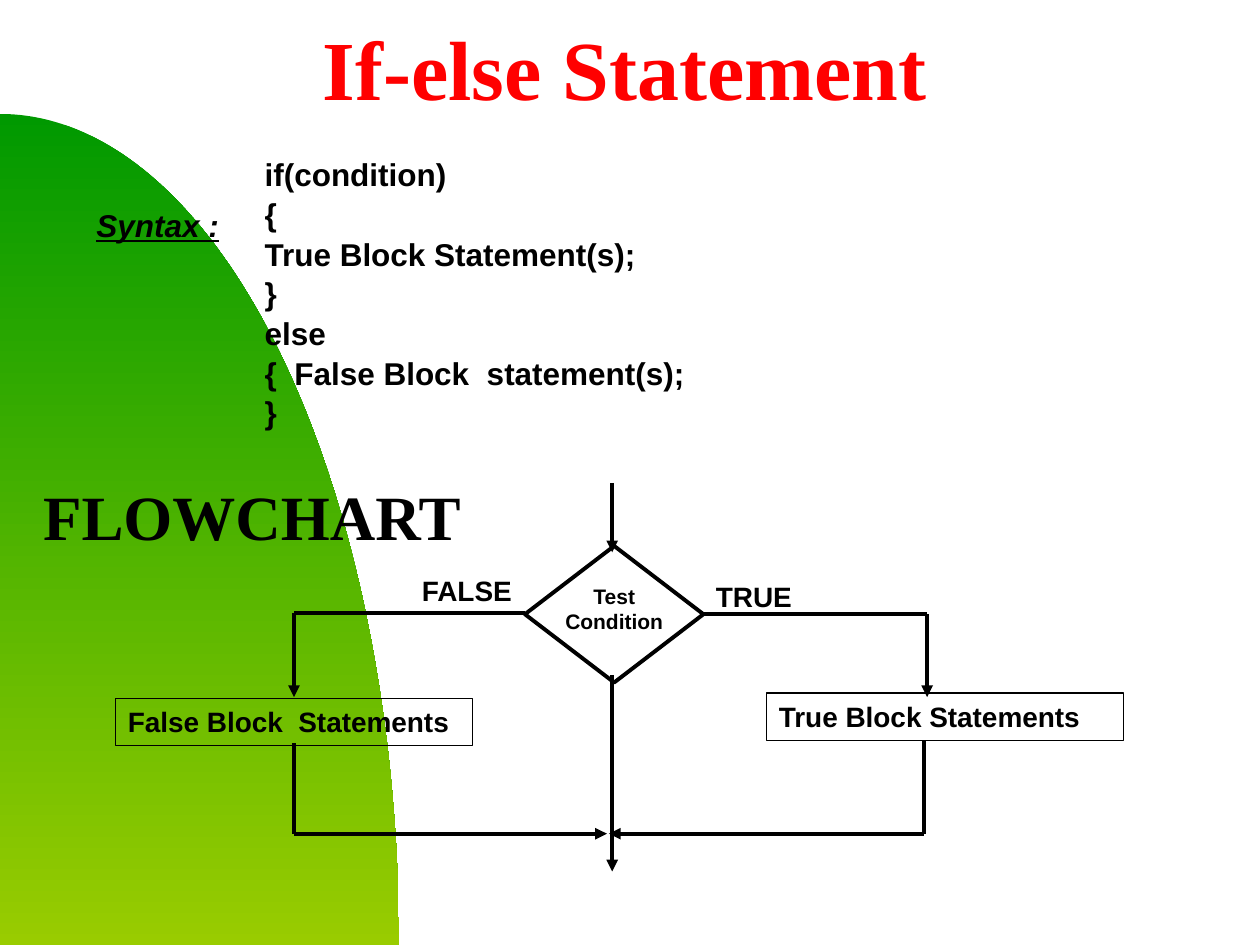
from dataclasses import dataclass
from itertools import pairwise
from math import cos, pi, sin

from pptx import Presentation
from pptx.dml.color import RGBColor
from pptx.enum.shapes import MSO_CONNECTOR as Line, MSO_SHAPE as Shape
from pptx.enum.text import MSO_ANCHOR as Anchor, MSO_AUTO_SIZE as AutoSize, PP_ALIGN as Align
from pptx.oxml.ns import qn
from pptx.util import Inches, Pt

COLS, ROWS = 120, 90
WIDTH, HEIGHT = Inches(10), Inches(7.5)


@dataclass(frozen=True)
class Theme:
    ink: str = "000000"
    title: str = "FF0000"
    top_green: str = "009900"
    low_green: str = "99CC00"
    serif: str = "Times New Roman"
    sans: str = "Arial"
    title_size: int = 48
    heading_size: int = 36
    code_size: int = 18
    label_size: int = 16
    small_size: int = 12
    thick: float = 2.25
    thin: float = 0.75


def write(sp, text, size, color, font, align=Align.LEFT, wrap=True, italic=False,
          underline=False, spacing=1.0):
    """Fill a shape with bold, top-anchored text, one paragraph per line."""
    tf = sp.text_frame
    tf.text = text
    tf.word_wrap = wrap
    tf.auto_size = AutoSize.NONE
    tf.vertical_anchor = Anchor.TOP
    for p in tf.paragraphs:
        pPr = p._p.get_or_add_pPr()
        pPr.set("marL", "0")
        pPr.set("indent", "0")
        p.alignment = align
        p.line_spacing = spacing
        p.space_before = Pt(0)
        pPr.get_or_add_buNone() if hasattr(pPr, "get_or_add_buNone") else \
            pPr.append(pPr.makeelement(qn("a:buNone"), {}))
        for r in p.runs:
            f = r.font
            f.name, f.size, f.bold = font, Pt(size), True
            f.italic, f.underline = italic, underline
            f.color.rgb = RGBColor.from_string(color)


class Deck:
    """Holds the theme and current slide; lengths are columns and rows."""

    def __init__(self, theme):
        self.theme = theme
        self.prs = Presentation()
        self.prs.slide_width, self.prs.slide_height = WIDTH, HEIGHT
        self.slide = self.prs.slides.add_slide(self.prs.slide_layouts[1])
        self.shapes = self.slide.shapes

    def at(self, x, y):
        return int(WIDTH * x / COLS), int(HEIGHT * y / ROWS)

    def place(self, sp, x, y, w, h):
        sp.left, sp.top = self.at(x, y)
        sp.width, sp.height = self.at(w, h)

    def quarter_ellipse(self, top, width, steps=90):
        """Draw the green backdrop behind everything else."""
        angles = [pi / 2 * i / steps for i in range(steps + 1)]
        curve = [self.at(width * sin(a), ROWS - (ROWS - top) * cos(a)) for a in angles]
        fb = self.shapes.build_freeform(*self.at(0, ROWS))
        fb.add_line_segments(curve, close=True)
        sp = fb.convert_to_shape()
        sp.shadow.inherit = False
        sp.line.fill.background()
        sp.fill.gradient()
        sp.fill.gradient_angle = 270
        colors = self.theme.top_green, self.theme.low_green
        for stop, color, position in zip(sp.fill.gradient_stops, colors, (0, 1)):
            stop.color.rgb = RGBColor.from_string(color)
            stop.position = position
        self.shapes._spTree.insert(2, sp._element)

    def title(self, text, *box):
        sp = self.shapes.title
        self.place(sp, *box)
        write(sp, text, self.theme.title_size, self.theme.title, self.theme.serif, Align.CENTER)

    def body(self, text, *box):
        sp = self.slide.placeholders[1]
        self.place(sp, *box)
        write(sp, text, self.theme.code_size, self.theme.ink, self.theme.sans, spacing=1.05)

    def text(self, text, *box, size=None, font=None, **style):
        sp = self.shapes.add_textbox(*self.at(*box[:2]), *self.at(*box[2:]))
        write(sp, text, size or self.theme.label_size, self.theme.ink,
              font or self.theme.sans, **style)

    def node(self, kind, *box, line, text=""):
        sp = self.shapes.add_shape(kind, *self.at(*box[:2]), *self.at(*box[2:]))
        sp.shadow.inherit = False
        sp.fill.background()
        sp.line.color.rgb = RGBColor.from_string(self.theme.ink)
        sp.line.width = Pt(line)
        if text:
            write(sp, text, self.theme.label_size, self.theme.ink, self.theme.sans)

    def flow(self, *points):
        """Join the points with straight lines; the last one ends in an arrow."""
        for start, end in pairwise(points):
            c = self.shapes.add_connector(Line.STRAIGHT, *self.at(*start), *self.at(*end))
            c.line.color.rgb = RGBColor.from_string(self.theme.ink)
            c.line.width = Pt(self.theme.thick)
            spPr = c._element.spPr
            spPr.append(spPr.makeelement(qn("a:effectLst"), {}))
        ln = c.line._get_or_add_ln()
        ln.append(ln.makeelement(qn("a:tailEnd"), {"type": "triangle"}))


def main():
    theme = Theme()
    deck = Deck(theme)
    deck.quarter_ellipse(top=10.85, width=38)
    deck.title("If-else Statement", 29.5, 1, 60, 11)
    deck.body("if(condition)\n{\nTrue Block Statement(s);\n}\nelse\n"
              "{  False Block  statement(s);\n}", 24, 14, 60, 26.6)
    deck.text("Syntax :", 8, 19, 21, 4.8, size=theme.code_size, italic=True, underline=True)
    deck.text("FLOWCHART", 4, 44.9, 40, 4.2, size=theme.heading_size, font=theme.serif,
              align=Align.CENTER, wrap=False)

    deck.node(Shape.DIAMOND, 50, 52, 17, 13, line=theme.thick)
    deck.text("Test Condition", 52, 55, 13, 6, size=theme.small_size, align=Align.CENTER)
    deck.node(Shape.RECTANGLE, 73, 66, 34, 4.5, line=theme.thin, text="True Block Statements")
    deck.node(Shape.RECTANGLE, 11, 66.5, 34, 4.5, line=theme.thin, text="False Block  Statements")
    deck.text("TRUE", 67, 54.6, 13, 4.4)
    deck.text("FALSE", 39, 54, 12, 4.4)

    middle, left, right, merge = 58.3, 28, 88.3, 79.4
    deck.flow((middle, 46), (middle, 52.6))
    deck.flow((middle, 64.3), (middle, 83))
    deck.flow((50, 58.4), (left, 58.4), (left, 66.4))
    deck.flow((67, 58.5), (right, 58.5), (right, 66.4))
    deck.flow((left, 70.8), (left, merge), (57.8, merge))
    deck.flow((88, 70.5), (88, merge), (58, merge))
    deck.prs.save("out.pptx")


if __name__ == "__main__":
    main()
